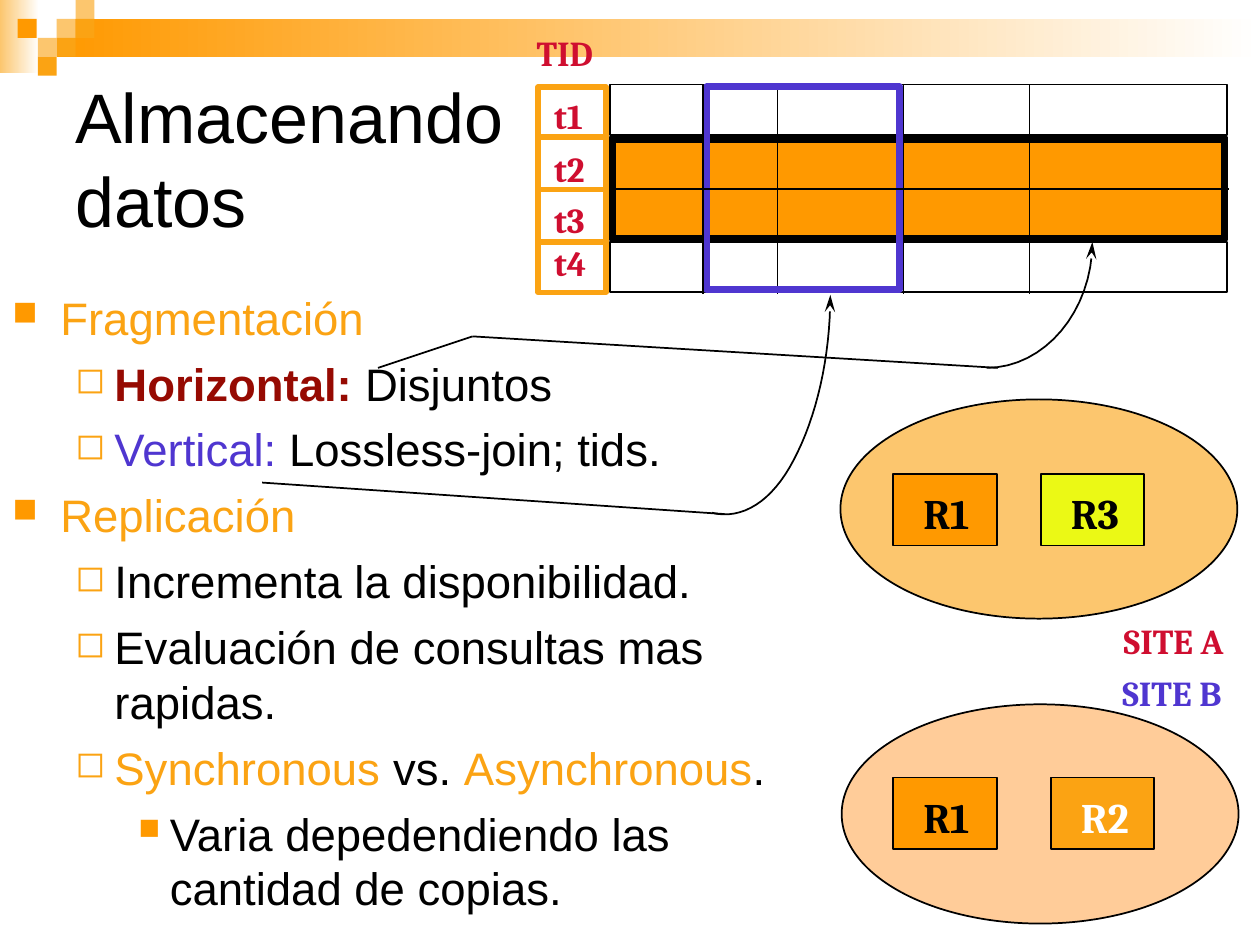
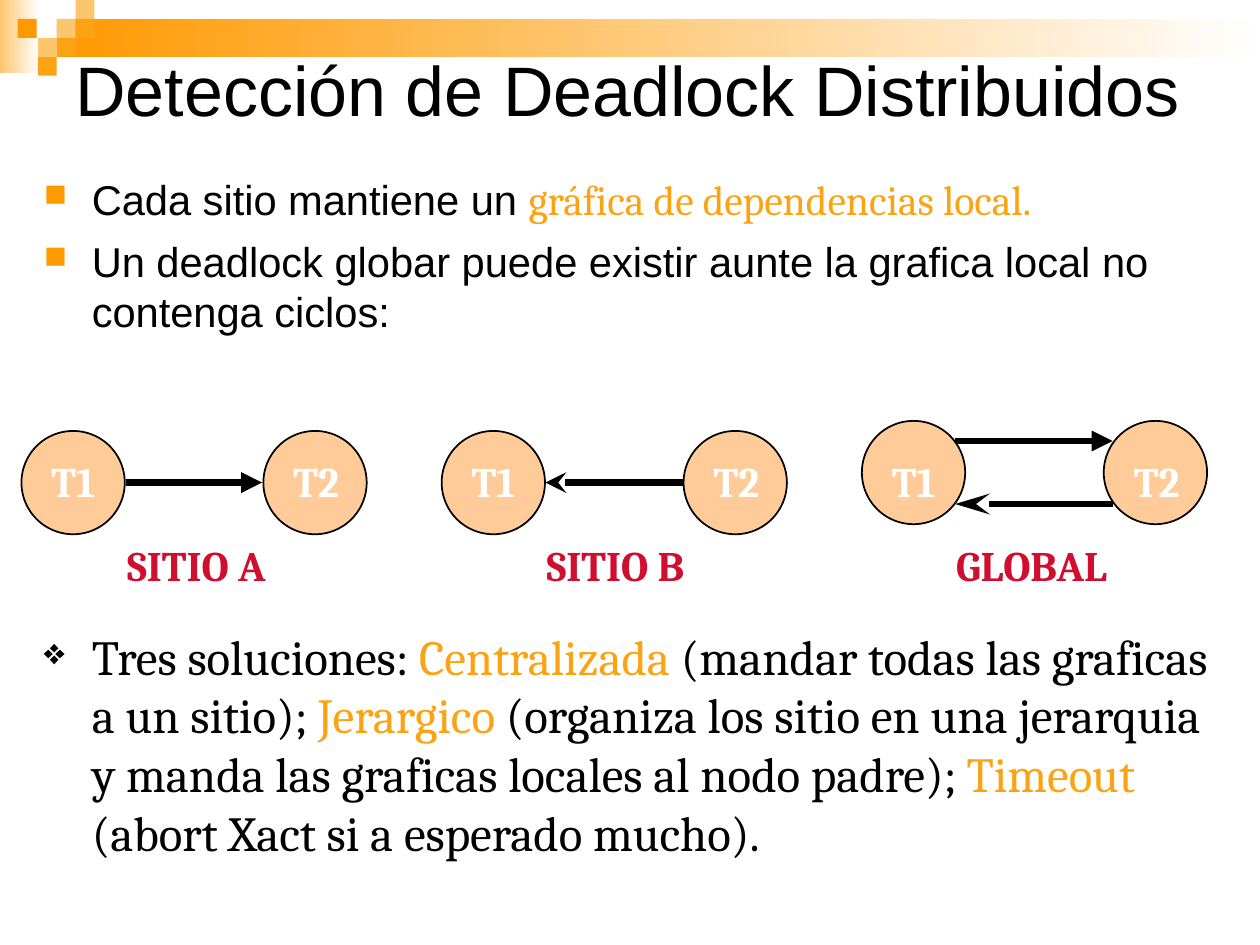
"""Builds two slides on distributed data storage and distributed deadlock detection."""
from lxml import etree
from pptx import Presentation
from pptx.dml.color import RGBColor
from pptx.enum.shapes import MSO_CONNECTOR, MSO_SHAPE
from pptx.enum.text import MSO_ANCHOR, MSO_AUTO_SIZE
from pptx.oxml.ns import qn
from pptx.util import Inches, Pt

RECT, OVAL = MSO_SHAPE.RECTANGLE, MSO_SHAPE.OVAL
STRAIGHT = MSO_CONNECTOR.STRAIGHT
TOP, MIDDLE = MSO_ANCHOR.TOP, MSO_ANCHOR.MIDDLE
FIT_SHAPE, NO_FIT = MSO_AUTO_SIZE.SHAPE_TO_FIT_TEXT, MSO_AUTO_SIZE.NONE

SANS, SERIF = "Arial", "Cambria"
COLORS = {
    "black": "000000", "white": "FFFFFF", "orange": "FF9900", "amber": "FBA313",
    "sand": "FCC66E", "peach": "FFCC99", "yellow": "EBF915", "red": "CF0E30",
    "maroon": "960A02", "violet": "4F36D0",
}

BANDS = [((0, 0, 0.31, 0.58), "sand"), ((0.45, 0.15, 9.55, 0.3), "orange")]
TILE = 0.15
TILES = [
    (0.45, 0.15, "sand"), (0.6, 0, "sand"), (0.6, 0.15, "amber"), (0.3, 0.3, "sand"),
    (0.14, 0.15, "orange"), (0.45, 0.3, "amber"), (0.3, 0.45, "amber"),
]

# level: (text indent, hanging indent, bullet, bullet color, bullet size %)
BULLETS = {
    "main": (0.38, 0.38, "■", "orange", 75),
    "sub": (0.81, 0.31, "◻", "amber", 80),
    "detail": (1.25, 0.25, "■", "orange", 65),
    "diamond": (0.38, 0.38, "❖", "black", 75),
}

STORAGE_TITLE = "Almacenando datos"
STORAGE_POINTS = [
    ("main", [("Fragmentación", "amber", SANS)]),
    ("sub", [("Horizontal:", "maroon", SANS, True), (" Disjuntos", "black", SANS)]),
    ("sub", [("Vertical:", "violet", SANS), (" Lossless-join; tids.", "black", SANS)]),
    ("main", [("Replicación", "amber", SANS)]),
    ("sub", [("Incrementa la disponibilidad.", "black", SANS)]),
    ("sub", [("Evaluación de consultas mas rapidas.", "black", SANS)]),
    ("sub", [("Synchronous", "amber", SANS), (" vs. ", "black", SANS),
             ("Asynchronous", "amber", SANS), (".", "black", SANS)]),
    ("detail", [("Varia depedendiendo las cantidad de copias.", "black", SANS)]),
]
ROW_TOP, ROW_PITCH, ROW_COUNT = 0.67, 0.417, 4
GRID_BOTTOM = 2.33
COLUMN_LINES = [7.17, 8.17, 5.58]
TUPLE_LABELS = [("TID", 4.16, 0.2, 0.71), ("t1", 4.3, 0.7, 0.47), ("t2", 4.3, 1.12, 0.47),
                ("t3", 4.3, 1.53, 0.47), ("t4", 4.3, 1.87, 0.47)]
POINTER_LINES = [((2.08, 3.83), (5.75, 4.08)), ((3, 2.92), (3.75, 2.67)),
                 ((3.75, 2.67), (7.92, 2.92))]
POINTER_CURVES = [
    [((6.59, 2.34), (6.59, 2.84), (6.48, 3.31), (6.3, 3.65)),
     ((6.3, 3.65), (6.13, 3.98), (5.89, 4.13), (5.65, 4.07))],
    [((8.67, 1.92), (8.67, 2.47), (8.29, 2.92), (7.83, 2.92))],
]
SITES = [(6.67, 3.17, "sand"), (6.68, 5.59, "peach")]
REPLICAS = [
    ("R1", 7.09, 3.76, "orange", "black"), ("R1", 7.09, 6.17, "orange", "black"),
    ("R2", 8.34, 6.17, "amber", "white"), ("R3", 8.26, 3.76, "yellow", "black"),
]
SITE_LABELS = [("SITE A", 8.82, 4.87, 1.12, "red"), ("SITE B", 8.81, 5.28, 1.1, "violet")]

DEADLOCK_TITLE = "Detección de Deadlock Distribuidos"
DEADLOCK_POINTS = [
    ("main", [("Cada sitio mantiene un ", "black", SANS),
              ("gráfica de dependencias local.", "amber", SERIF)]),
    ("main", [("Un deadlock globar puede existir aunte la grafica local no contenga ciclos:",
               "black", SANS)]),
]
SOLUTIONS = [("diamond", [
    ("Tres soluciones: ", "black", SERIF), ("Centralizada", "amber", SERIF),
    (" (mandar todas las graficas a un sitio); ", "black", SERIF),
    ("Jerargico ", "amber", SERIF),
    ("(organiza los sitio en una jerarquia y manda las graficas locales al nodo padre); ",
     "black", SERIF),
    ("Timeout ", "amber", SERIF), ("(abort Xact si a esperado mucho).", "black", SERIF),
])]
NODE_SIZE, NODE_GAP, GRAPH_PITCH = 0.82, 1.92, 3.335
# name, node top, name left, name width
GRAPHS = [("SITIO A", 3.42, 0.91, 1.48), ("SITIO B", 3.42, 4.24, 1.46),
          ("GLOBAL", 3.34, 7.49, 1.63)]
# start, end, arrowed end, arrow type, arrow length
WAITS = [
    ((1, 3.83), (2.08, 3.83), "tailEnd", "triangle", "med"),
    ((4.33, 3.83), (5.42, 3.83), "headEnd", "stealth", "med"),
    ((7.58, 3.5), (8.83, 3.5), "tailEnd", "triangle", "med"),
    ((7.58, 4), (8.83, 4), "headEnd", "stealth", "lg"),
]


def rgb(name):
    return RGBColor.from_string(COLORS[name])


def place(*lengths):
    return [Inches(length) for length in lengths]


def style_outline(shape, fill, line, width):
    shape.shadow.inherit = False
    if fill:
        shape.fill.solid()
        shape.fill.fore_color.rgb = rgb(fill)
    else:
        shape.fill.background()
    if line:
        shape.line.color.rgb = rgb(line)
        shape.line.width = Pt(width)
    else:
        shape.line.fill.background()


def add_block(page, kind, area, fill=None, line="black", width=1):
    block = page.shapes.add_shape(kind, *place(*area))
    style_outline(block, fill, line, width)
    return block


def add_line(page, start, end, color="black", width=1):
    line = page.shapes.add_connector(STRAIGHT, *place(*start, *end))
    line.line.color.rgb = rgb(color)
    line.line.width = Pt(width)
    etree.SubElement(line._element.spPr, qn("a:effectLst"))
    return line


def add_arrowhead(shape, end, kind, length):
    outline = shape.line._get_or_add_ln()
    etree.SubElement(outline, qn(f"a:{end}"), type=kind, w="med", len=length)


def bezier_point(curve, t):
    weights = ((1 - t) ** 3, 3 * t * (1 - t) ** 2, 3 * t ** 2 * (1 - t), t ** 3)
    return tuple(sum(w * point[axis] for w, point in zip(weights, curve)) for axis in (0, 1))


def add_pointer_curve(page, curves, steps=16):
    points = [place(*bezier_point(curve, step / steps))
              for curve in curves for step in range(1, steps + 1)]
    builder = page.shapes.build_freeform(*place(*curves[0][0]))
    builder.add_line_segments(points, close=False)
    pointer = builder.convert_to_shape()
    style_outline(pointer, None, "black", 1)
    add_arrowhead(pointer, "headEnd", "stealth", "lg")


def add_text_box(page, area, wrap=True, anchor=TOP):
    box = page.shapes.add_textbox(*place(*area))
    frame = box.text_frame
    frame.word_wrap = wrap
    frame.auto_size = NO_FIT if wrap else FIT_SHAPE
    frame.vertical_anchor = anchor
    return frame


def add_span(para, text, color, font, size, bold=False):
    span = para.add_run()
    span.text = text
    span.font.name = font
    span.font.size = Pt(size)
    span.font.bold = bold
    span.font.color.rgb = rgb(color)


def add_label(page, text, left, top, width, size, color):
    frame = add_text_box(page, (left, top, width, 0.5 if size == 24 else 0.43), wrap=False)
    add_span(frame.paragraphs[0], text, color, SERIF, size, bold=True)


def set_bullet(para, level):
    indent, hanging, char, color, percent = BULLETS[level]
    props = para._p.get_or_add_pPr()
    props.set("marL", str(Inches(indent)))
    props.set("indent", str(-Inches(hanging)))
    tint = etree.SubElement(props, qn("a:buClr"))
    etree.SubElement(tint, qn("a:srgbClr"), val=COLORS[color])
    etree.SubElement(props, qn("a:buSzPct"), val=str(percent * 1000))
    etree.SubElement(props, qn("a:buChar"), char=char)


def add_points(page, area, points, size, space):
    frame = add_text_box(page, area)
    for index, (level, spans) in enumerate(points):
        para = frame.add_paragraph() if index else frame.paragraphs[0]
        para.space_before = Pt(space)
        set_bullet(para, level)
        for text, color, font, *bold in spans:
            add_span(para, text, color, font, size, bool(bold))


def add_page(deck, title, title_area):
    page = deck.slides.add_slide(deck.slide_layouts[6])
    for area, color in BANDS:
        band = add_block(page, RECT, area, line=None)
        band.fill.gradient()
        band.fill.gradient_angle = 180
        for stop, name in zip(band.fill.gradient_stops, ("white", color)):
            stop.color.rgb = rgb(name)
    for left, top, color in TILES:
        add_block(page, RECT, (left, top, TILE, TILE), color, None)
    frame = add_text_box(page, title_area, anchor=MIDDLE)
    add_span(frame.paragraphs[0], title, "black", SANS, 40)
    return page


def add_fragment_grid(page):
    for row in range(ROW_COUNT):
        add_block(page, RECT, (4.84, ROW_TOP + row * ROW_PITCH, 4.9, 0.4))
    add_block(page, RECT, (4.86, 1.11, 4.86, 0.78), "orange", width=4)
    add_line(page, (6.17, ROW_TOP), (6.17, GRID_BOTTOM))
    add_block(page, RECT, (5.61, 0.69, 1.53, 1.61), line="violet", width=4)
    for x in COLUMN_LINES:
        add_line(page, (x, ROW_TOP), (x, GRID_BOTTOM))
    add_line(page, (4.83, 1.5), (9.75, 1.5))
    add_block(page, RECT, (4.27, 0.69, 0.54, 1.63), line="amber", width=3)
    for row in range(1, ROW_COUNT):
        y = ROW_TOP + row * ROW_PITCH
        add_line(page, (4.25, y), (4.83, y), "amber", 3)
    for text, left, top, width in TUPLE_LABELS:
        add_label(page, text, left, top, width, 20, "red")


def build_storage(deck):
    page = add_page(deck, STORAGE_TITLE, (0.5, 0.5, 3.67, 1.5))
    add_points(page, (0, 2.25, 6.58, 5.17), STORAGE_POINTS, 26, 6.5)
    add_fragment_grid(page)
    for start, end in POINTER_LINES:
        add_line(page, start, end)
    for curves in POINTER_CURVES:
        add_pointer_curve(page, curves)
    for left, top, color in SITES:
        add_block(page, OVAL, (left, top, 3.15, 1.74), color)
    for text, left, top, fill, color in REPLICAS:
        add_block(page, RECT, (left, top, 0.82, 0.57), fill)
        add_label(page, text, left + 0.14, top + 0.06, 0.62, 24, color)
    for text, left, top, width, color in SITE_LABELS:
        add_label(page, text, left, top, width, 20, color)


def build_deadlock(deck):
    page = add_page(deck, DEADLOCK_TITLE, (0.5, 0.33, 9, 0.75))
    add_points(page, (0.25, 1.33, 9.42, 1.58), DEADLOCK_POINTS, 23.8, 7)
    for index, (name, top, name_left, name_width) in enumerate(GRAPHS):
        for step, node in enumerate(("T1", "T2")):
            left = 0.17 + index * GRAPH_PITCH + step * NODE_GAP
            add_block(page, OVAL, (left, top, NODE_SIZE, NODE_SIZE), "peach")
            add_label(page, node, left + 0.14, 3.57, 0.61, 24, "white")
        add_label(page, name, name_left, 4.23, name_width, 24, "red")
    for start, end, arrow_end, kind, length in WAITS:
        add_arrowhead(add_line(page, start, end, width=4), arrow_end, kind, length)
    add_points(page, (0.25, 4.92, 9.58, 1.83), SOLUTIONS, 28, 7)


def main():
    deck = Presentation()
    deck.slide_width, deck.slide_height = place(10, 7.5)
    build_storage(deck)
    build_deadlock(deck)
    deck.save("out.pptx")


if __name__ == "__main__":
    main()
